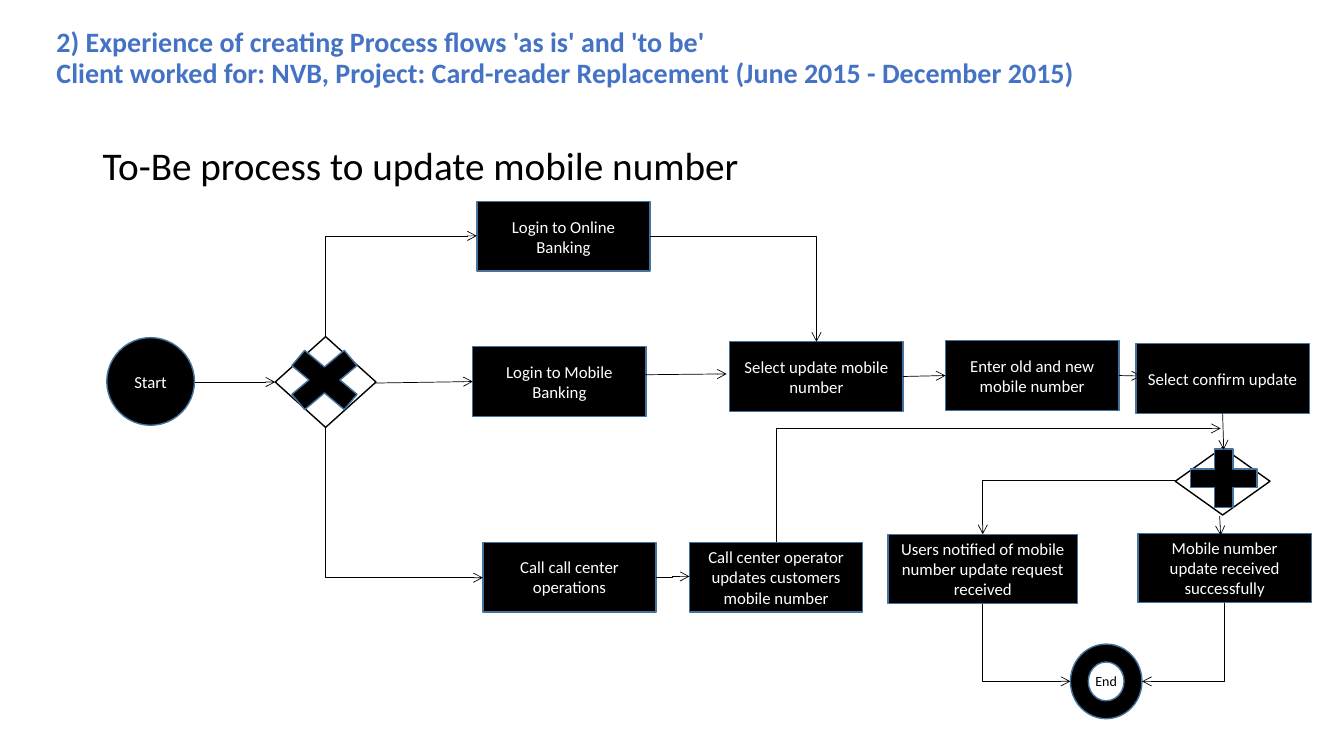
from lxml import etree
from pptx import Presentation
from pptx.dml.color import RGBColor
from pptx.enum.shapes import MSO_CONNECTOR, MSO_SHAPE
from pptx.enum.text import MSO_ANCHOR, MSO_AUTO_SIZE, PP_ALIGN
from pptx.oxml.ns import qn
from pptx.util import Pt

STRAIGHT, ELBOW = MSO_CONNECTOR.STRAIGHT, MSO_CONNECTOR.ELBOW
RECTANGLE, ELLIPSE, DONUT = MSO_SHAPE.RECTANGLE, MSO_SHAPE.OVAL, MSO_SHAPE.DONUT
DIAMOND, DECISION = MSO_SHAPE.DIAMOND, MSO_SHAPE.FLOWCHART_DECISION
PLUS, MULTIPLY = MSO_SHAPE.MATH_PLUS, MSO_SHAPE.MATH_MULTIPLY
MIDDLE, TOP = MSO_ANCHOR.MIDDLE, MSO_ANCHOR.TOP
LEFT, CENTER = PP_ALIGN.LEFT, PP_ALIGN.CENTER
NO_AUTOFIT = MSO_AUTO_SIZE.NONE
LEFT_SIDE, BOTTOM_SIDE, RIGHT_SIDE = 1, 2, 3


def color(hex_string):
    return RGBColor.from_string(hex_string)


class FlowSlide:
    """Holds the style and the current slide; lengths are in points."""

    font_name = "Calibri"
    black, white, blue, outline = "000000", "FFFFFF", "4472C4", "43739E"
    box_width, box_height = 123.8, 49.7

    def __init__(self, presentation):
        self.slide = presentation.slides.add_slide(presentation.slide_layouts[5])
        self.shapes = self.slide.shapes

    def add_text(self, shape, lines, size, text_color, align, anchor,
                 bold=False, spacing=None):
        frame = shape.text_frame
        frame.word_wrap = True
        frame.auto_size = NO_AUTOFIT
        frame.vertical_anchor = anchor
        paragraph = frame.paragraphs[0]
        paragraph.alignment = align
        if spacing:
            paragraph.line_spacing = spacing
        for number, line in enumerate(lines):
            if number:
                paragraph.add_line_break()
            run = paragraph.add_run()
            run.text = line
            run.font.name = self.font_name
            run.font.size = Pt(size)
            run.font.bold = bold
            run.font.color.rgb = color(text_color)

    def title(self, lines, left, top, width, height):
        shape = self.shapes.title
        shape.left, shape.top = Pt(left), Pt(top)
        shape.width, shape.height = Pt(width), Pt(height)
        self.add_text(shape, lines, 20, self.blue, LEFT, MIDDLE, True, 0.9)

    def heading(self, text, left, top, width, height):
        shape = self.shapes.add_textbox(Pt(left), Pt(top), Pt(width), Pt(height))
        self.add_text(shape, [text], 28, self.black, LEFT, TOP, spacing=0.9)

    def symbol(self, kind, left, top, width, height, fill=black, line=outline,
               text=None, size=12, text_color=white):
        shape = self.shapes.add_shape(kind, Pt(left), Pt(top), Pt(width), Pt(height))
        shape.shadow.inherit = False
        shape.fill.solid()
        shape.fill.fore_color.rgb = color(fill)
        shape.line.color.rgb = color(line)
        shape.line.width = Pt(1)
        if text:
            self.add_text(shape, [text], size, text_color, CENTER, MIDDLE)
        return shape

    def gateway(self, kind, left, top, width, height):
        return self.symbol(kind, left, top, width, height, self.white, self.black)

    def task(self, text, left, top, width=box_width):
        return self.symbol(RECTANGLE, left, top, width, self.box_height, text=text)

    def connector(self, kind, start, end):
        connector = self.shapes.add_connector(kind, *map(Pt, (*start, *end)))
        connector.line.color.rgb = color(self.black)
        connector.line.width = Pt(0.5)
        properties = connector.element.spPr
        etree.SubElement(properties.find(qn("a:ln")), qn("a:tailEnd"), type="arrow")
        etree.SubElement(properties, qn("a:effectLst"))
        return connector

    def arrow(self, start, end, begin_join=None, end_join=None):
        connector = self.connector(STRAIGHT, start, end)
        if begin_join:
            connector.begin_connect(*begin_join)
        if end_join:
            connector.end_connect(*end_join)

    def step(self, start, end):
        self.connector(ELBOW, start, end)

    def corner(self, start, end, vertical_first=False):
        """Arrow with one right-angled bend."""
        rotation = 0
        if vertical_first:
            # Lay the arrow out along the x axis, then turn it about its centre
            (x1, y1), (x2, y2) = start, end
            middle_x, middle_y = (x1 + x2) / 2, (y1 + y2) / 2
            rotation = 90 if y2 > y1 else 270
            half_x = abs(y2 - y1) / 2
            half_y = (x1 - x2) / 2 if y2 > y1 else (x2 - x1) / 2
            start = middle_x - half_x, middle_y - half_y
            end = middle_x + half_x, middle_y + half_y
        properties = self.connector(ELBOW, start, end).element.spPr
        properties.find(qn("a:prstGeom")).set("prst", "bentConnector2")
        if rotation:
            properties.find(qn("a:xfrm")).set("rot", str(rotation * 60000))


def main():
    presentation = Presentation()
    presentation.slide_width, presentation.slide_height = Pt(960), Pt(540)
    flow = FlowSlide(presentation)

    # Title and heading
    flow.title(["2) Experience of creating Process flows 'as is' and 'to be'",
                "Client worked for: NVB, Project: Card-reader Replacement "
                "(June 2015 - December 2015)"], 33.1, 12.2, 913.7, 59.8)
    flow.heading("To-Be process to update mobile number", 66.2, 101.5, 880.6, 40)

    # Gateways and events
    flow.gateway(DIAMOND, 839.5, 319.7, 67.7, 48.2)
    flow.gateway(DECISION, 196.6, 240.5, 72, 64.8)
    flow.symbol(PLUS, 841.7, 313.2, 64.8, 56.9)
    flow.symbol(MULTIPLY, 195.8, 241.2, 72, 60.5)
    flow.symbol(ELLIPSE, 76.3, 241.2, 62.6, 62.6, text="Start")
    flow.symbol(DONUT, 764.6, 460.1, 51.1, 53.3, text="End", size=10,
                text_color=flow.black)

    # Tasks
    flow.task("Login to Online Banking", 340.6, 144)
    mobile = flow.task("Login to Mobile Banking", 337.7, 247.7)
    flow.task("Call call center operations", 344.9, 387.4)
    flow.task("Call center operator updates customers mobile number", 492.5, 387.4)
    select = flow.task("Select update mobile number", 521.3, 244.1)
    enter = flow.task("Enter old and new mobile number", 675.4, 243.4)
    confirm = flow.task("Select confirm update", 811.4, 245.5)
    flow.task("Mobile number update received successfully", 812.9, 380.9)
    flow.task("Users notified of mobile number update request received",
              634.3, 381.6, 135.4)

    # Straight arrows
    flow.arrow((139, 272.9), (196.6, 272.9))
    flow.arrow((267.8, 273.6), (337.7, 272.9), end_join=(mobile, LEFT_SIDE))
    flow.arrow((449.3, 267.8), (519.1, 267.1))
    flow.arrow((645.1, 267.1), (675.4, 268.6), (select, RIGHT_SIDE), (enter, LEFT_SIDE))
    flow.arrow((798.5, 270), (815, 268.6), (enter, RIGHT_SIDE))
    flow.arrow((873.4, 295.2), (874.1, 321.1), (confirm, BOTTOM_SIDE))
    flow.arrow((871.2, 368.6), (871.9, 382.3))

    # Bent arrows
    flow.step((468.7, 412.6), (492.5, 411.8))
    flow.corner((464.4, 168.5), (583.2, 244.1))
    flow.corner((839.5, 343.4), (702, 381.6))
    for start, end in [
        ((232.6, 240.5), (340.6, 168.5)),
        ((232.6, 305.3), (344.9, 412.6)),
        ((874.8, 430.6), (815.8, 486.7)),
        ((702, 431.3), (764.6, 486.7)),
        ((554.4, 387.4), (871.9, 306)),
    ]:
        flow.corner(start, end, vertical_first=True)

    presentation.save("out.pptx")


if __name__ == "__main__":
    main()
